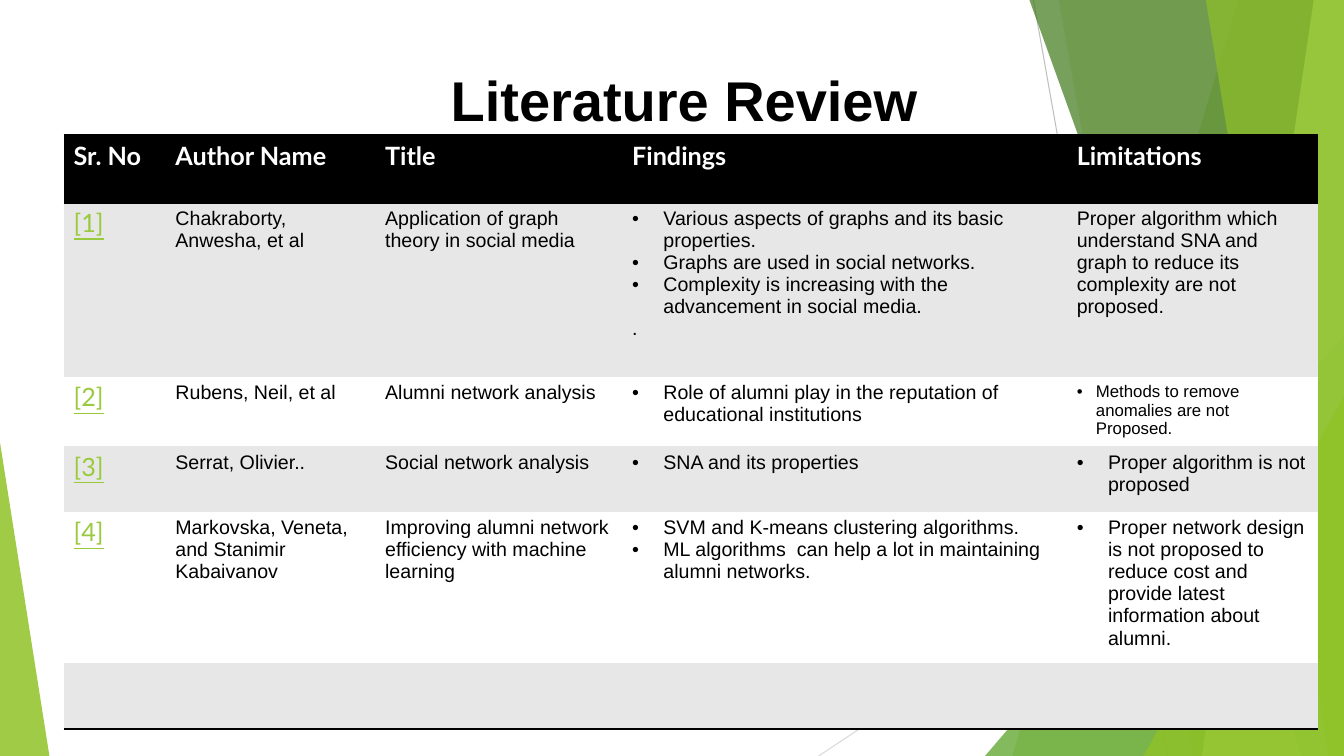
import pptx
import pptx.util
import pptx.dml.color
import pptx.enum.shapes
import pptx.enum.text
import pptx.oxml
import pptx.oxml.ns

Inches, Pt = pptx.util.Inches, pptx.util.Pt
RGB = pptx.dml.color.RGBColor
SHAPE = pptx.enum.shapes.MSO_SHAPE
qn = pptx.oxml.ns.qn
NS = pptx.oxml.ns.nsdecls("a")

BLACK, WHITE, BAND = RGB(0, 0, 0), RGB(255, 255, 255), RGB(0xE7, 0xE7, 0xE7)
LINK, GREEN, LEAF = RGB(0x99, 0xCA, 0x3C), RGB(0x90, 0xC2, 0x26), RGB(0x54, 0xA0, 0x21)
FOREST, LIME = RGB(0x3F, 0x78, 0x19), RGB(0xC0, 0xE4, 0x74)
GREY, PALE = RGB(0xBF, 0xBF, 0xBF), RGB(0xD9, 0xD9, 0xD9)
W, H = 13.33, 7.5

TITLE = "Literature Review"
HEADER = ["Sr. No", "Author Name", "Title", "Findings", "Limitations"]
STUDIES = [
    ["[1]", "Chakraborty, Anwesha, et al", "Application of graph theory in social media",
     ["• Various aspects of graphs and its basic properties.",
      "• Graphs are used in social networks.",
      "• Complexity is increasing with the\vadvancement in social media.", "."],
     "Proper algorithm which understand SNA and graph to reduce its complexity are not proposed."],
    ["[2]", "Rubens, Neil, et al", "Alumni network analysis",
     "• Role of alumni play in the reputation of educational institutions",
     "• Methods to remove anomalies are not\vProposed."],
    ["[3]", "Serrat, Olivier..", "Social network analysis",
     "• SNA and its properties", "• Proper algorithm is not proposed"],
    ["[4]", "Markovska, Veneta, and Stanimir Kabaivanov",
     "Improving alumni network efficiency with machine learning",
     ["• SVM and K-means clustering algorithms.",
      "• ML algorithms  can help a lot in maintaining alumni networks."],
     "• Proper network design is not proposed to reduce cost and provide latest information about alumni."],
    [""] * 5,
]
ROWS = [HEADER] + STUDIES
COLS = [1.01, 2.08, 2.45, 4.41, 2.49]
HEIGHTS = [0.67, 1.73, 0.69, 0.65, 1.5, 0.65]
SMALL_CELL = (2, 4)

HEAD = dict(size=Pt(18), name="Lato", bold=True)
REF = dict(size=Pt(18), name="Lato", underline=True)
BODY = dict(size=Pt(14), name="Arial")
SMALL = dict(size=Pt(12), name="Arial")

RAYS = [((10.25, 0), (11.58, H), GREY), ((W, 4.03), (8.12, H), PALE)]
BANDS = [
    ("edge", (12.28, 10.04), GREEN, 30),
    ("edge", (10.5, 11.83), GREEN, 20),
    ("triangle", (9.77, 3.33, W - 9.77, 1), LEAF, 72),
    ("edge", (10.21, 12.91), FOREST, 70),
    ("edge", (13.03, 11.92), LIME, 70),
    ("edge", (11.96, 13.18), GREEN, 65),
    ("triangle", (11.34, 3.93, W - 11.34, 1), GREEN, 80),
    ("triangle", (0, 4.39, 0.49, 0), GREEN, 85),
]


def style(font, color, values):
    font.color.rgb = color
    for key, value in values.items():
        setattr(font, key, value)


def add_ray(s, start, end, color):
    c = s.shapes.add_connector(pptx.enum.shapes.MSO_CONNECTOR.STRAIGHT,
                               *map(Inches, start + end))
    c.line.color.rgb, c.line.width = color, Pt(0.75)
    c._element.spPr.append(pptx.oxml.parse_xml(f"<a:effectLst {NS}/>"))


def add_band(s, kind, geometry, color, alpha):
    if kind == "edge":
        top, bottom = geometry
        fb = s.shapes.build_freeform(Inches(top), 0)
        fb.add_line_segments([(Inches(x), Inches(y)) for x, y in
                              [(W, 0), (W, H), (bottom, H)]], close=True)
        sp = fb.convert_to_shape()
    else:
        left, top, width, apex = geometry
        sp = s.shapes.add_shape(SHAPE.ISOSCELES_TRIANGLE,
                                *map(Inches, (left, top, width, H - top)))
        sp.adjustments[0] = apex
    sp.shadow.inherit = False
    sp.line.fill.background()
    sp.fill.solid()
    sp.fill.fore_color.rgb = color
    clr = sp._element.spPr.find(qn("a:solidFill"))[0]
    clr.append(pptx.oxml.parse_xml(f'<a:alpha {NS} val="{alpha * 1000}"/>'))


def add_bullet(p, indent):
    pPr = p._p.get_or_add_pPr()
    pPr.set("marL", str(Inches(indent)))
    pPr.set("indent", str(-Inches(indent)))
    pPr.append(pptx.oxml.parse_xml(f'<a:buFont {NS} typeface="Arial"/>'))
    pPr.append(pptx.oxml.parse_xml(f'<a:buChar {NS} char="•"/>'))


def fill_cell(cell, content, color, values, indent):
    paragraphs = content if isinstance(content, list) else [content]
    tf = cell.text_frame
    for i, text in enumerate(paragraphs):
        p = tf.add_paragraph() if i else tf.paragraphs[0]
        if text.startswith("• "):
            add_bullet(p, indent)
        for j, line in enumerate(text.removeprefix("• ").split("\v")):
            if j:
                p.add_line_break()
            if line:
                r = p.add_run()
                r.text = line
                style(r.font, color, values)


def add_borders(cell, sides):
    tcPr = cell._tc.get_or_add_tcPr()
    for i, side in enumerate(sides):
        tcPr.insert(i, pptx.oxml.parse_xml(
            f'<a:ln{side} {NS} w="{Pt(2)}"><a:solidFill><a:srgbClr val="{BLACK}"/>'
            f'</a:solidFill></a:ln{side}>'))


prs = pptx.Presentation()
prs.slide_width, prs.slide_height = Inches(W), Inches(H)
s = prs.slides.add_slide(prs.slide_layouts[5])

for ray in RAYS:
    add_ray(s, *ray)
for band in BANDS:
    add_band(s, *band)

title = s.shapes.title
title.left, title.top, title.width, title.height = map(Inches, (4.37, 0.6, 5.17, 0.77))
tf = title.text_frame
tf.text = TITLE
tf.vertical_anchor = pptx.enum.text.MSO_ANCHOR.MIDDLE
p = tf.paragraphs[0]
p.alignment = pptx.enum.text.PP_ALIGN.LEFT
style(p.runs[0].font, BLACK, dict(size=Pt(40), name="Arial", bold=True))

frame = s.shapes.add_table(len(ROWS), len(COLS), *map(
    Inches, (0.63, 1.34, sum(COLS), sum(HEIGHTS))))
table = frame.table
table.first_row = table.horz_banding = False
table._tbl.tblPr.find(qn("a:tableStyleId")).text = "{2D5ABB26-0587-4C30-8999-92F81FD0307C}"
for column, width in zip(table.columns, COLS):
    column.width = Inches(width)
for row, height in zip(table.rows, HEIGHTS):
    row.height = Inches(height)

for i, row in enumerate(ROWS):
    for j, content in enumerate(row):
        cell = table.cell(i, j)
        cell.fill.solid()
        cell.fill.fore_color.rgb = BLACK if i == 0 else BAND if i % 2 else WHITE
        small = (i, j) == SMALL_CELL
        if i == 0:
            color, values = WHITE, HEAD
        elif j == 0:
            color, values = LINK, REF
        else:
            color, values = BLACK, SMALL if small else BODY
        fill_cell(cell, content, color, values, 0.19 if small else 0.31)
        if i == 0:
            add_borders(cell, "TB")
        elif i == len(ROWS) - 1:
            add_borders(cell, "B")

prs.save("out.pptx")
